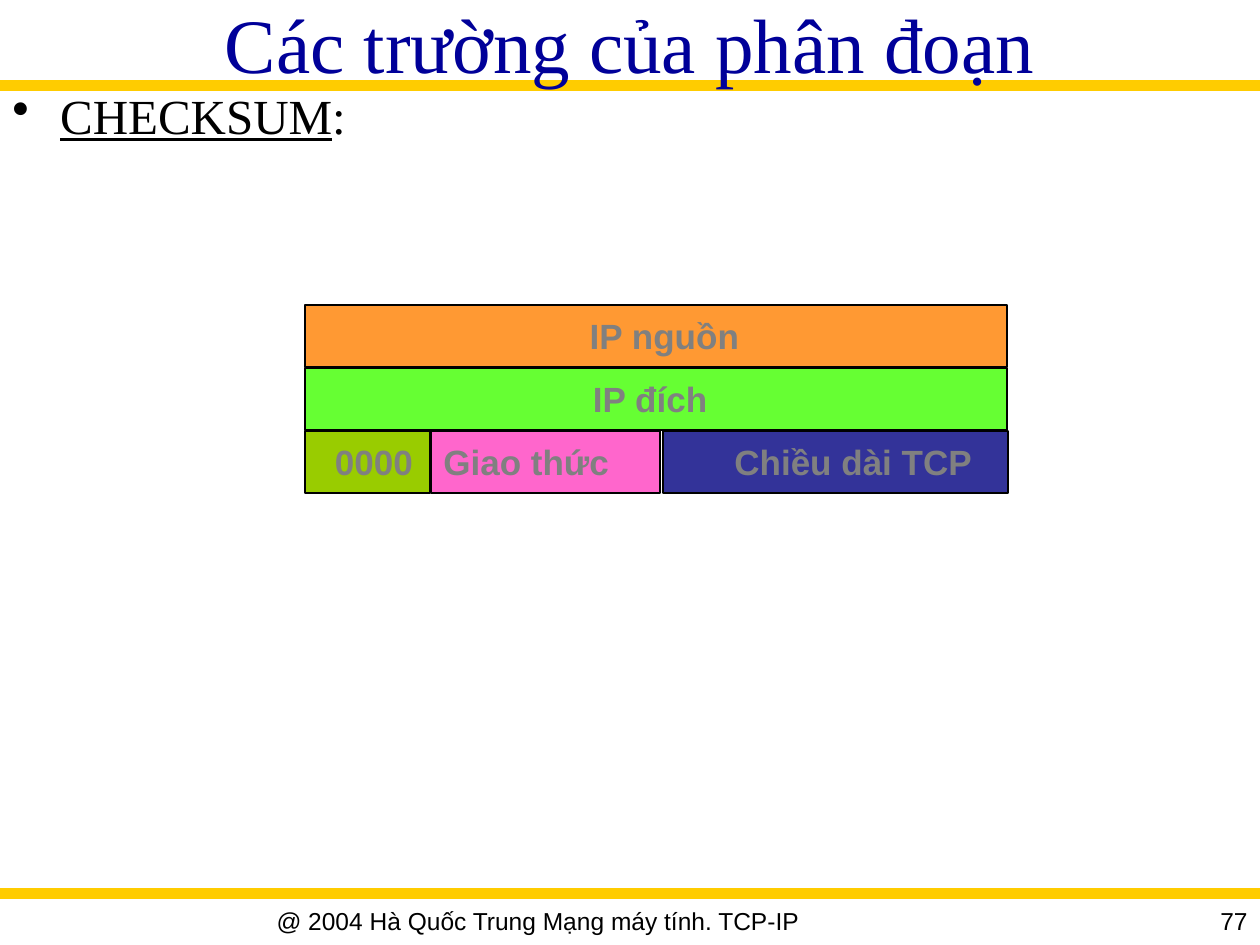
from lxml.etree import SubElement
from pptx import Presentation
from pptx.dml.color import RGBColor
from pptx.enum.shapes import MSO_CONNECTOR, MSO_SHAPE
from pptx.enum.text import MSO_ANCHOR, PP_ALIGN
from pptx.oxml.ns import qn
from pptx.util import Inches, Pt

deck = Presentation()
deck.slide_width, deck.slide_height = Inches(10), Inches(7.5)
slide = deck.slides.add_slide(deck.slide_layouts[6])
shapes = slide.shapes
col = deck.slide_width / 100
row = deck.slide_height / 75


def tint(part, code):
    part.rgb = RGBColor.from_string(code)


def write(text, x, y, wide, high, size, code, face="Arial", align=PP_ALIGN.LEFT):
    box = shapes.add_textbox(int(x * col), int(y * row), int(wide * col), int(high * row))
    box.text_frame.word_wrap = True
    para = box.text_frame.paragraphs[0]
    para.add_run().text = text
    para.alignment = align
    para.font.size = Pt(size)
    para.font.name = face
    tint(para.font.color, code)
    return box.text_frame


for y in (6.8, 70.9):
    rule = shapes.add_connector(
        MSO_CONNECTOR.STRAIGHT, 0, int(y * row), deck.slide_width, int(y * row))
    rule.line.width = Pt(6)
    tint(rule.line.color, "FFCC00")
    SubElement(rule._element.spPr, qn("a:effectLst"))

serif = "Times New Roman"
title = write("Các trường của phân đoạn", 0, 0, 100, 6.8, 44, "000099", serif, PP_ALIGN.CENTER)
title.vertical_anchor = MSO_ANCHOR.MIDDLE

body = write("CHECKSUM", 0, 6.8, 100, 8.6, 28, "000000", serif)
item = body.paragraphs[0]
item.runs[0].font.underline = True
item.add_run().text = ":"
item.line_spacing = 0.9
item.space_before = Pt(7)
props = item._p.get_or_add_pPr()
props.set("marL", str(Inches(0.38)))
props.set("indent", str(-Inches(0.38)))
mark = SubElement(props, qn("a:buChar"))
mark.set("char", "•")
props.insert(props.index(props.find(qn("a:defRPr"))), mark)

left, top, pitch, high = 24.2, 24.2, 5, 4.9
mid = PP_ALIGN.CENTER
fields = [
    (0, 0, 55.7, "FF9933", " IP nguồn", 0.6, 55.1, mid, True),
    (0, 1, 55.7, "66FF33", "IP đích", -0.2, 55.2, mid, True),
    (0, 2, 9.9, "99CC00", "0000", 1.4, 8.2, PP_ALIGN.LEFT, False),
    (10, 2, 18.2, "FF66CC", "Giao thức", 0, 19.5, PP_ALIGN.LEFT, True),
    (28.4, 2, 27.4, "333399", "Chiều dài TCP", 4.7, 20.9, PP_ALIGN.LEFT, False),
]
for x, step, wide, fill, text, shift, span, align, wrap in fields:
    x, y = left + x, top + step * pitch
    bar = shapes.add_shape(
        MSO_SHAPE.RECTANGLE, int(x * col), int(y * row), int(wide * col), int(high * row))
    bar.shadow.inherit = False
    bar.fill.solid()
    tint(bar.fill.fore_color, fill)
    bar.line.width = Pt(1)
    tint(bar.line.color, "000000")
    label = write(text, x + shift, y + 0.3, span, 4.3, 20, "808080", align=align)
    label.word_wrap = wrap
    label.paragraphs[0].font.bold = True

write("@ 2004 Hà Quốc Trung Mạng máy tính. TCP-IP", 0, 71.4, 85.4, 3.6, 14, "000000", align=mid)
write("77", 85.8, 71.4, 14.2, 3.1, 14, "000000", align=PP_ALIGN.RIGHT)

deck.save("out.pptx")
